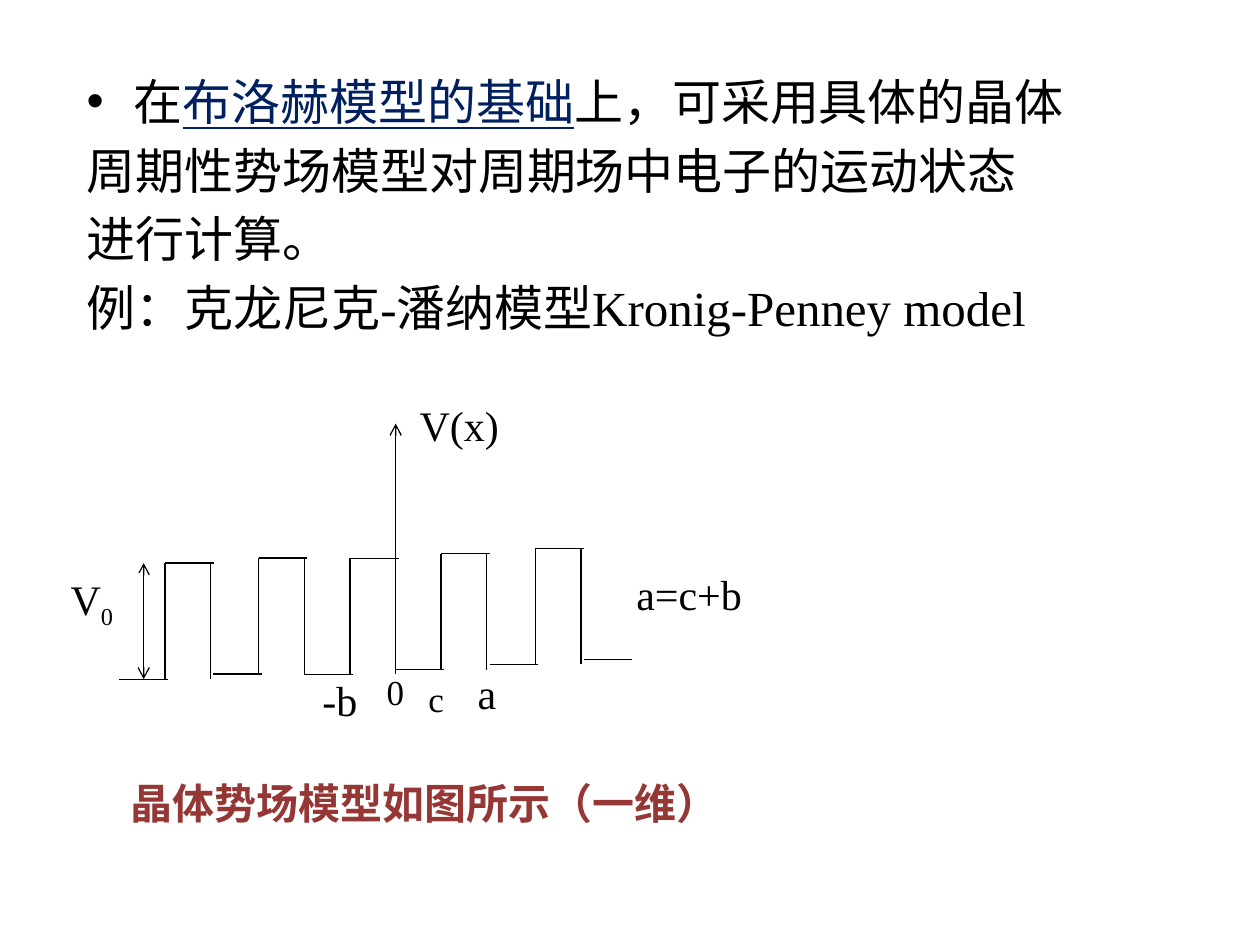
from lxml import etree
from pptx import Presentation
from pptx.enum import shapes, text
from pptx.dml.color import RGBColor
from pptx.oxml.ns import qn
from pptx.util import Pt

COLORS = {"ink": "000000", "paper": "FFFFFF", "term": "002060", "caption": "953735"}
FONT = "Times New Roman"


class Deck:
    """Holds the slide being built and its style."""

    def __init__(self, width, height):
        self.prs = Presentation()
        self.prs.slide_width, self.prs.slide_height = Pt(width), Pt(height)
        self.slide = self.prs.slides.add_slide(self.prs.slide_layouts[6])

    def color(self, name):
        return RGBColor.from_string(COLORS[name])

    def run(self, paragraph, words, size, color="ink", bold=False, underline=False, baseline=None):
        run = paragraph.add_run()
        run.text = words
        font = run.font
        font.name, font.size = FONT, Pt(size)
        font.bold, font.underline = bold, underline
        font.color.rgb = self.color(color)
        if baseline:
            font._element.set("baseline", str(baseline * 1000))

    def line(self, x1, y1, x2, y2, arrows=()):
        link = self.slide.shapes.add_connector(
            shapes.MSO_CONNECTOR.STRAIGHT, Pt(x1), Pt(y1), Pt(x2), Pt(y2))
        link.line.color.rgb = self.color("ink")
        link.line.width = Pt(0.75)
        outline = link.line._get_or_add_ln()
        for end in arrows:
            etree.SubElement(outline, qn("a:" + end), type="arrow")
        etree.SubElement(link._element.spPr, qn("a:effectLst"))

    def label(self, x, y, width, height, words, size=24, subscript=None):
        box = self.slide.shapes.add_shape(
            shapes.MSO_SHAPE.RECTANGLE, Pt(x), Pt(y), Pt(width), Pt(height))
        box.shadow.inherit = False
        box.fill.solid()
        box.fill.fore_color.rgb = self.color("paper")
        box.line.color.rgb = self.color("paper")
        box.line.width = Pt(0.75)
        frame = box.text_frame
        frame.margin_left = frame.margin_right = frame.margin_top = frame.margin_bottom = 0
        frame.vertical_anchor = text.MSO_ANCHOR.TOP
        paragraph = frame.paragraphs[0]
        paragraph.alignment = text.PP_ALIGN.JUSTIFY
        self.run(paragraph, words, size)
        if subscript:
            self.run(paragraph, subscript, size, baseline=-25)

    def text_box(self, x, y, width, height, wrap=True):
        frame = self.slide.shapes.add_textbox(Pt(x), Pt(y), Pt(width), Pt(height)).text_frame
        frame.word_wrap = wrap
        return frame

    def body(self, x, y, width, height, lines, size=28):
        frame = self.text_box(x, y, width, height)
        for i, runs in enumerate(lines):
            paragraph = frame.add_paragraph() if i else frame.paragraphs[0]
            props = paragraph._p.get_or_add_pPr()
            props.set("marL", str(Pt(27)))
            props.set("indent", str(Pt(-27)))
            if i:
                paragraph.space_before = Pt(size * 0.2)
                etree.SubElement(props, qn("a:buNone"))
            else:
                etree.SubElement(props, qn("a:buFont"), typeface="Arial")
                etree.SubElement(props, qn("a:buChar"), char="•")
            for words, style in runs:
                self.run(paragraph, words, size, **style)

    def caption(self, x, y, width, height, words):
        frame = self.text_box(x, y, width, height, wrap=False)
        frame.auto_size = text.MSO_AUTO_SIZE.SHAPE_TO_FIT_TEXT
        self.run(frame.paragraphs[0], words, 24, "caption", bold=True)


def main():
    deck = Deck(720, 540)

    # Labels under the x axis
    deck.label(272.9, 381.6, 23, 41.8, "a")
    deck.label(244.8, 387.4, 16.6, 41.8, "c", 20)
    deck.label(184.3, 385.2, 24.5, 41.8, "-b")
    deck.label(221, 383, 13.7, 41.8, "0", 20)

    # Periodic barriers: floor, left wall, top, right wall
    depth, barrier, edge = 66.3, 26.1, 27.8
    barriers = [(94.3, 321.8), (147.8, 318.8), (200, 319.1), (252, 316.3), (305.9, 313.3)]
    for x, top in barriers:
        bottom = top + depth
        deck.line(x - barrier, bottom, x + edge - barrier, bottom)
        deck.line(x, top, x, bottom)
        deck.line(x, top, x + edge, top)
        deck.line(x + barrier, top, x + barrier, bottom)
    deck.line(333.6, 377, 361.4, 377)

    # Potential axis and barrier height
    deck.line(226.1, 319.1, 226.1, 242.1, ["tailEnd"])
    deck.label(239.8, 228.2, 57.6, 43.9, "V(x)")
    deck.line(82.1, 321.8, 82.1, 388.1, ["headEnd", "tailEnd"])
    deck.label(40.3, 327.6, 39.6, 44.6, "V", subscript="0")
    deck.label(363.6, 324.7, 85, 49.7, "a=c+b")

    # Introduction
    deck.body(42.5, 37.4, 648, 249.8, [
        [("在", {}),
         ("布洛赫模型的基础", {"color": "term", "underline": True}),
         ("上，可采用具体的晶体", {})],
        [("周期性势场模型对周期场中电子的运动状态", {})],
        [("进行计算。", {})],
        [("例：克龙尼克-潘纳模型Kronig-Penney model", {})],
    ])

    # Figure caption
    deck.caption(67.7, 440.6, 355.7, 36, "晶体势场模型如图所示（一维）")

    deck.prs.save("out.pptx")


if __name__ == "__main__":
    main()
